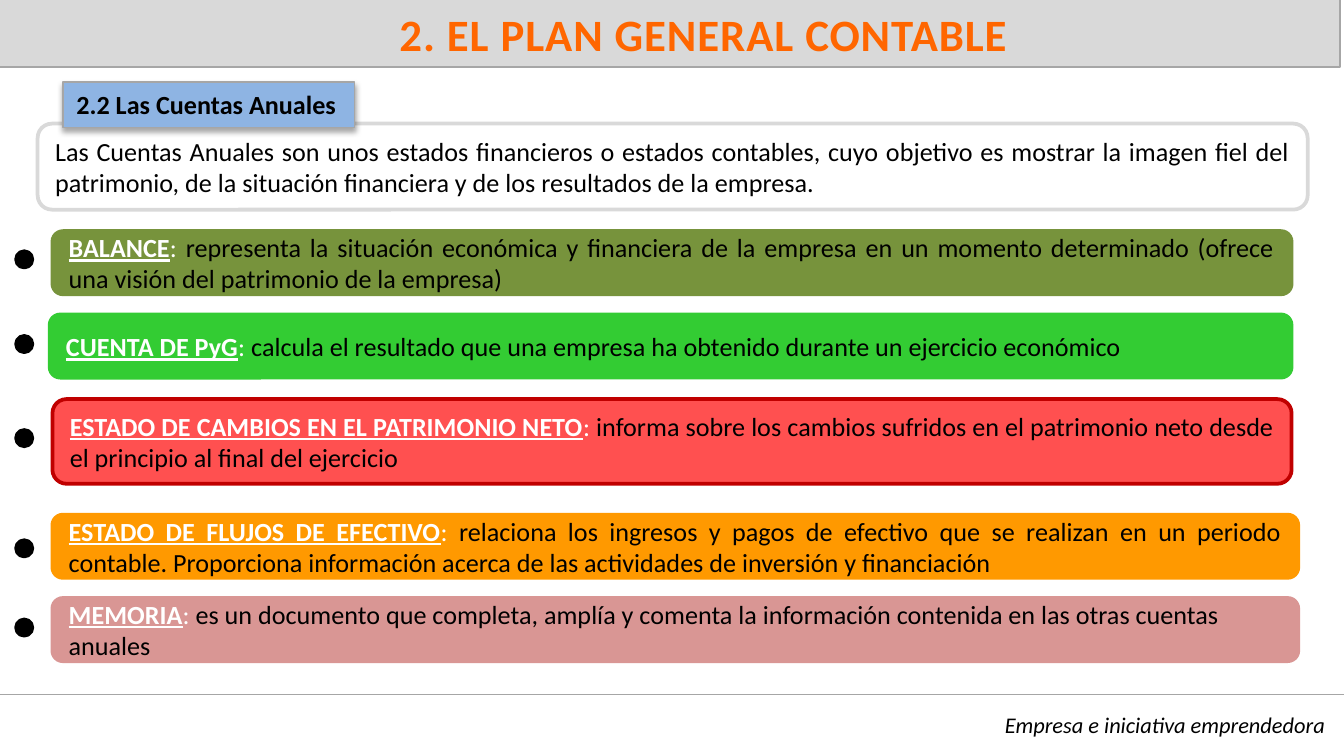
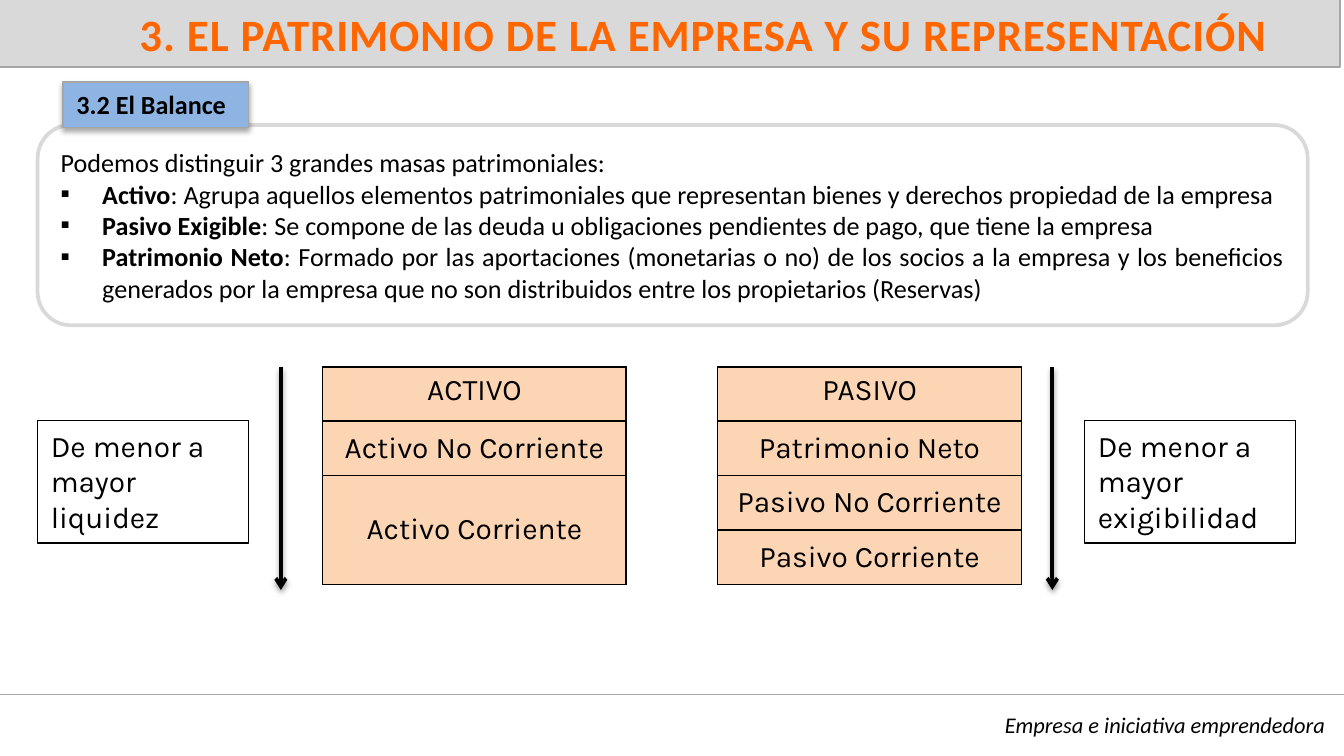
from lxml import etree
from pptx import Presentation
from pptx.dml.color import RGBColor
from pptx.enum.shapes import MSO_CONNECTOR, MSO_SHAPE
from pptx.enum.text import MSO_ANCHOR, MSO_AUTO_SIZE, PP_ALIGN
from pptx.oxml import parse_xml
from pptx.oxml.ns import qn
from pptx.util import Inches, Pt

RECT = MSO_SHAPE.RECTANGLE
ROUND = MSO_SHAPE.ROUNDED_RECTANGLE
OVAL = MSO_SHAPE.OVAL
LINE = MSO_CONNECTOR.STRAIGHT
TOP, MID, LOW = MSO_ANCHOR.TOP, MSO_ANCHOR.MIDDLE, MSO_ANCHOR.BOTTOM
LEFT, MIDDLE = PP_ALIGN.LEFT, PP_ALIGN.CENTER
RIGHT, FULL = PP_ALIGN.RIGHT, PP_ALIGN.JUSTIFY
GROW = MSO_AUTO_SIZE.SHAPE_TO_FIT_TEXT

BLACK, WHITE, GRAY, EDGE = "000000", "FFFFFF", "D9D9D9", "A6A6A6"
ORANGE, BLUE, PEACH = "FF6600", "8EB4E3", "FCD5B5"
NS = 'xmlns:a="http://schemas.openxmlformats.org/drawingml/2006/main"'

STATES = [
    (0.39, 1.72, 9.22, 0.47, "77933C", "77933C", FULL, 1.87, "BALANCE",
     "representa la situación económica y financiera de la empresa en un "
     "momento determinado (ofrece una visión del patrimonio de la empresa) "),
    (0.37, 2.34, 9.24, 0.47, "33CC33", "33CC33", FULL, 2.5, "CUENTA DE PyG",
     "calcula el resultado que una empresa ha obtenido durante un ejercicio "
     "económico"),
    (0.39, 2.97, 9.22, 0.63, "FF5050", "C00000", FULL, 3.2,
     "ESTADO DE CAMBIOS EN EL PATRIMONIO NETO",
     "informa sobre los cambios sufridos en el patrimonio neto desde el "
     "principio al final del ejercicio"),
    (0.39, 3.83, 9.27, 0.47, "FF9900", "FF9900", FULL, 4.02,
     "ESTADO DE FLUJOS DE EFECTIVO",
     "relaciona los ingresos y pagos de efectivo que se realizan en un "
     "periodo contable. Proporciona información acerca de las actividades de "
     "inversión y financiación"),
    (0.39, 4.45, 9.27, 0.47, "D99694", "D99694", LEFT, 4.61, "MEMORIA",
     "es un documento que completa, amplía y comenta la información "
     "contenida en las otras cuentas anuales"),
]

MASSES = [
    ("Activo", ": Agrupa aquellos elementos patrimoniales que representan "
     "bienes y derechos propiedad de la empresa"),
    ("Pasivo Exigible", ": Se compone de las deuda u obligaciones pendientes "
     "de pago, que tiene la empresa"),
    ("Patrimonio Neto", ": Formado por las aportaciones (monetarias o no) de "
     "los socios a la empresa y los beneficios generados por la empresa que "
     "no son distribuidos entre los propietarios (Reservas)"),
]

ASSETS = ["ACTIVO", "Activo No Corriente", "Activo Corriente"]
DEBTS = ["PASIVO", "Patrimonio Neto", "Pasivo No Corriente",
         "Pasivo Corriente"]


def tint(code):
    return RGBColor.from_string(code)


def style(run, size=14, font="Calibri", color=BLACK, bold=False,
          italic=False, under=False):
    face = run.font
    face.size, face.name = Pt(size), font
    face.bold, face.italic, face.underline = bold, italic, under
    face.color.rgb = tint(color)


def write(frame, text, align=LEFT, first=True, **form):
    para = frame.paragraphs[0] if first else frame.add_paragraph()
    para.alignment = align
    parts = [(text, {})] if isinstance(text, str) else text
    for words, extra in parts:
        run = para.add_run()
        run.text = words
        style(run, **{**form, **extra})
    return para


def indent(para, left, hang=0, mark=None):
    props = para._p.get_or_add_pPr()
    props.set("marL", str(Inches(left)))
    props.set("indent", str(Inches(hang)))
    if mark:
        etree.SubElement(props, qn("a:buFont")).set("typeface", "Calibri")
        etree.SubElement(props, qn("a:buChar")).set("char", mark)


def shade(item, alpha, blur, dist):
    props = item._element.spPr
    for old in props.findall(qn("a:effectLst")):
        props.remove(old)
    props.append(parse_xml(
        f'<a:effectLst {NS}><a:outerShdw blurRad="{Pt(blur)}" '
        f'dist="{Pt(dist)}" dir="5400000" rotWithShape="0">'
        f'<a:srgbClr val="{BLACK}"><a:alpha val="{alpha * 1000}"/>'
        '</a:srgbClr></a:outerShdw></a:effectLst>'))


def box(slide, kind, place, fill=None, line=BLACK, width=2, anchor=MID):
    shape = slide.shapes.add_shape(kind, *map(Inches, place))
    shape.shadow.inherit = False
    if fill:
        shape.fill.solid()
        shape.fill.fore_color.rgb = tint(fill)
    else:
        shape.fill.background()
    shape.line.color.rgb = tint(line)
    shape.line.width = Pt(width)
    shape.text_frame.word_wrap = True
    shape.text_frame.vertical_anchor = anchor
    return shape


def rule(slide, start, end, color=BLACK, width=2):
    line = slide.shapes.add_connector(LINE, *map(Inches, start + end))
    line.line.color.rgb = tint(color)
    line.line.width = Pt(width)
    etree.SubElement(line._element.spPr, qn("a:effectLst"))
    return line


def arrow(slide, left):
    line = rule(slide, (left, 2.73), (left, 4.39))
    tail = etree.SubElement(line.line._get_or_add_ln(), qn("a:tailEnd"))
    tail.set("type", "arrow")
    shade(line, 38, 3.1, 1.6)


def title(slide, text):
    band = box(slide, RECT, (-0.03, -0.01, 10, 0.51), GRAY, EDGE, 0.75, LOW)
    para = write(band.text_frame, text, MIDDLE, size=24, color=ORANGE,
                 bold=True)
    indent(para, 0.53)
    props = para.runs[0].font._element
    props.set("spc", "50")
    props.insert(0, parse_xml(
        f'<a:ln {NS} w="{Pt(1.06)}"><a:solidFill><a:srgbClr val="101A26">'
        '<a:alpha val="6000"/></a:srgbClr></a:solidFill></a:ln>'))


def footer(slide):
    note = slide.shapes.add_textbox(*map(Inches, (0.9, 5.24, 9.06, 0.3)))
    note.text_frame.word_wrap = True
    note.text_frame.auto_size = GROW
    write(note.text_frame, "Empresa e iniciativa emprendedora", RIGHT,
          size=12, italic=True)


def tag(slide, text, width):
    label = box(slide, RECT, (0.47, 0.61, width, 0.34), BLUE, EDGE, 0.75, TOP)
    label.text_frame.auto_size = GROW
    write(label.text_frame, text, bold=True)
    shade(label, 35, 3.1, 1.8)


def start(deck, head, topic, width, top, height):
    slide = deck.slides.add_slide(deck.slide_layouts[6])
    panel = box(slide, ROUND, (0.28, top, 9.45, height), line=GRAY)
    rule(slide, (0, 5.17), (10, 5.17), EDGE, 0.75)
    title(slide, head)
    footer(slide)
    tag(slide, topic, width)
    return slide, panel.text_frame


def state(slide, left, top, width, height, fill, line, align, dot, name, text):
    bar = box(slide, ROUND, (left, top, width, height), fill, line)
    write(bar.text_frame,
          [(name, {"bold": True, "under": True}), (": ", {}),
           (text, {"color": BLACK})], align, color=WHITE)
    box(slide, OVAL, (0.12, dot, 0.12, 0.12), BLACK)


def border(cell, sides):
    props = cell._tc.get_or_add_tcPr()
    for spot, side in enumerate("LRTB"):
        paint = (f'<a:solidFill><a:srgbClr val="{BLACK}"/></a:solidFill>'
                 if side in sides else "<a:noFill/>")
        props.insert(spot, parse_xml(
            f'<a:ln{side} {NS} w="{Pt(1)}">{paint}</a:ln{side}>'))


def sheet(slide):
    place = map(Inches, (2.4, 2.73, 5.2, 1.62))
    grid = slide.shapes.add_table(4, 3, *place).table
    grid.first_row = grid.horz_banding = False
    for col, width in zip(grid.columns, (2.26, 0.68, 2.26)):
        col.width = Inches(width)
    for row in range(4):
        for col in range(3):
            cell = grid.cell(row, col)
            if col == 1:
                cell.fill.background()
            else:
                cell.fill.solid()
                cell.fill.fore_color.rgb = tint(PEACH)
            border(cell, "LR" if col == 1 else "LRTB")
    grid.cell(2, 0).merge(grid.cell(3, 0))
    for col, names in ((0, ASSETS), (2, DEBTS)):
        for row, name in enumerate(names):
            cell = grid.cell(row, col)
            cell.vertical_anchor = MID if row else TOP
            write(cell.text_frame, name, MIDDLE, size=16, font="Karla")


def note(slide, left, text):
    card = box(slide, RECT, (left, 3.13, 1.57, 0.91), width=0.75, anchor=TOP)
    card.text_frame.auto_size = GROW
    write(card.text_frame, text, size=16, font="Karla")


def annual(deck):
    slide, frame = start(deck, "2. EL PLAN GENERAL CONTABLE",
                         "2.2 Las Cuentas Anuales", 2.17, 0.92, 0.64)
    write(frame, "Las Cuentas Anuales son unos estados financieros o estados "
          "contables, cuyo objetivo es mostrar la imagen fiel del patrimonio, "
          "de la situación financiera y de los resultados de la empresa.",
          FULL)
    for item in STATES:
        state(slide, *item)


def balance(deck):
    slide, frame = start(
        deck, "3. EL PATRIMONIO DE LA EMPRESA Y SU REPRESENTACIÓN",
        "3.2 El Balance", 1.38, 0.93, 1.49)
    write(frame, "Podemos distinguir 3 grandes masas patrimoniales:", FULL)
    for name, text in MASSES:
        para = write(frame, [(name, {"bold": True}), (text, {})], FULL,
                     first=False)
        indent(para, 0.31, -0.31, "▪")
    sheet(slide)
    note(slide, 0.28, "De menor a mayor liquidez")
    note(slide, 8.07, "De menor a mayor exigibilidad")
    arrow(slide, 2.09)
    arrow(slide, 7.83)


def main():
    deck = Presentation()
    deck.slide_width = Inches(10)
    deck.slide_height = deck.slide_width * 9 // 16
    annual(deck)
    balance(deck)
    deck.save("out.pptx")


if __name__ == "__main__":
    main()
